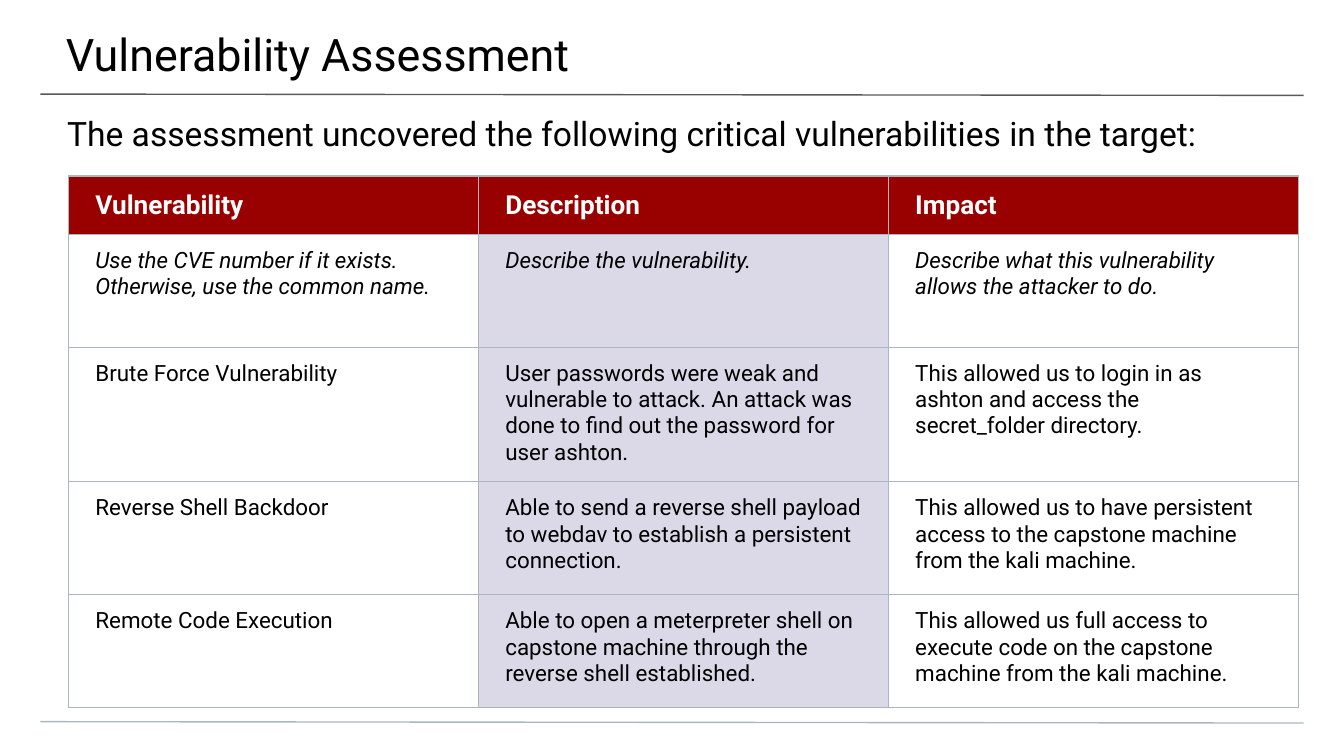
from typing import NamedTuple

from lxml.etree import SubElement
from pptx import Presentation
from pptx.dml.color import RGBColor
from pptx.enum.shapes import MSO_CONNECTOR
from pptx.enum.text import MSO_ANCHOR
from pptx.oxml.ns import qn
from pptx.util import Inches, Pt

BLACK = RGBColor(0x00, 0x00, 0x00)
WHITE = RGBColor(0xFF, 0xFF, 0xFF)
RED = RGBColor(0x99, 0x00, 0x00)
LAVENDER = RGBColor(0xDB, 0xD9, 0xE8)
DARK_GRAY = RGBColor(0x59, 0x59, 0x59)
BLUE_GRAY = RGBColor(0xA9, 0xB7, 0xC0)
FONT = "Roboto"
SLIDE_WIDTH = 10
SLIDE_HEIGHT = SLIDE_WIDTH * 9 / 16
COLUMN_WIDTH = 3.05
HEADER_HEIGHT = 0.43
ROW_HEIGHT = 0.84


class Finding(NamedTuple):
    vulnerability: str
    description: str
    impact: str


HEADER = Finding("Vulnerability", "Description", "Impact")
GUIDANCE = Finding(
    "Use the CVE number if it exists. Otherwise, use the common name.",
    "Describe the vulnerability.",
    "Describe what this vulnerability allows the attacker to do.",
)
FINDINGS = [
    Finding(
        "Brute Force Vulnerability",
        "User passwords were weak and vulnerable to attack. An attack was done "
        "to find out the password for user ashton.",
        "This allowed us to login in as ashton and access the secret_folder directory.",
    ),
    Finding(
        "Reverse Shell Backdoor",
        "Able to send a reverse shell payload to webdav to establish a persistent connection.",
        "This allowed us to have persistent access to the capstone machine from the kali machine.",
    ),
    Finding(
        "Remote Code Execution",
        "Able to open a meterpreter shell on capstone machine through the reverse "
        "shell established.",
        "This allowed us full access to execute code on the capstone machine from "
        "the kali machine.",
    ),
]


def write(tf, text: str, *, size: float, color: RGBColor = BLACK,
          bold: bool = False, italic: bool = False) -> None:
    tf.word_wrap = True
    r = tf.paragraphs[0].add_run()
    r.text = text
    r.font.name = FONT
    r.font.size = Pt(size)
    r.font.color.rgb = color
    r.font.bold = bold
    r.font.italic = italic


def set_margins(target, left: float, top: float, right: float, bottom: float) -> None:
    target.margin_left, target.margin_top = Inches(left), Inches(top)
    target.margin_right, target.margin_bottom = Inches(right), Inches(bottom)


def add_rule(slide, y: float, color: RGBColor) -> None:
    line = slide.shapes.add_connector(
        MSO_CONNECTOR.STRAIGHT, Inches(0.3), Inches(y), Inches(9.7), Inches(y + 0.01))
    line.line.color.rgb = color
    line.line.width = Pt(0.75)
    SubElement(line._element.spPr, qn("a:effectLst"))


def add_heading(slide, text: str, box: tuple, margins: tuple, size: float) -> None:
    tf = slide.shapes.add_textbox(*map(Inches, box)).text_frame
    set_margins(tf, *margins)
    write(tf, text, size=size)


def add_borders(cell, color: RGBColor) -> None:
    """Outline a cell; call before its fill is set, as borders come first in the XML."""
    tc_pr = cell._tc.get_or_add_tcPr()
    for side in ("lnL", "lnR", "lnT", "lnB"):
        ln = SubElement(tc_pr, qn(f"a:{side}"), w=str(Pt(0.75)))
        fill = SubElement(ln, qn("a:solidFill"))
        SubElement(fill, qn("a:srgbClr"), val=str(color))


def add_findings_table(slide) -> None:
    rows = [HEADER, GUIDANCE, *FINDINGS]
    columns = len(HEADER)
    height = HEADER_HEIGHT + ROW_HEIGHT * (len(rows) - 1)
    table = slide.shapes.add_table(
        len(rows), columns, Inches(0.51), Inches(1.31),
        Inches(COLUMN_WIDTH * columns), Inches(height)).table
    for column in table.columns:
        column.width = Inches(COLUMN_WIDTH)
    for i, row in enumerate(rows):
        is_header = row is HEADER
        table.rows[i].height = Inches(HEADER_HEIGHT if is_header else ROW_HEIGHT)
        for j, text in enumerate(row):
            cell = table.cell(i, j)
            set_margins(cell, 0.2, 0.1, 0.2, 0.1)
            cell.vertical_anchor = MSO_ANCHOR.MIDDLE if is_header else MSO_ANCHOR.TOP
            add_borders(cell, BLUE_GRAY)
            if is_header or j == 1:
                cell.fill.solid()
                cell.fill.fore_color.rgb = RED if is_header else LAVENDER
            else:
                cell.fill.background()
            write(cell.text_frame, text, size=14 if is_header else 12,
                  color=WHITE if is_header else BLACK,
                  bold=is_header, italic=row is GUIDANCE)


def main() -> None:
    prs = Presentation()
    prs.slide_width, prs.slide_height = Inches(SLIDE_WIDTH), Inches(SLIDE_HEIGHT)
    slide = prs.slides.add_slide(prs.slide_layouts[6])
    add_rule(slide, 0.7, DARK_GRAY)
    add_rule(slide, 5.37, BLUE_GRAY)
    add_heading(slide, "Vulnerability Assessment",
                (-0.01, 0, 10.03, 0.58), (0.5, 0.2, 0.3, 0.1), 24)
    add_heading(slide,
                "The assessment uncovered the following critical vulnerabilities in the target:",
                (0, 0.74, 10, 0.4), (0.5, 0.1, 0.5, 0), 18)
    add_findings_table(slide)
    prs.save("out.pptx")


if __name__ == "__main__":
    main()
